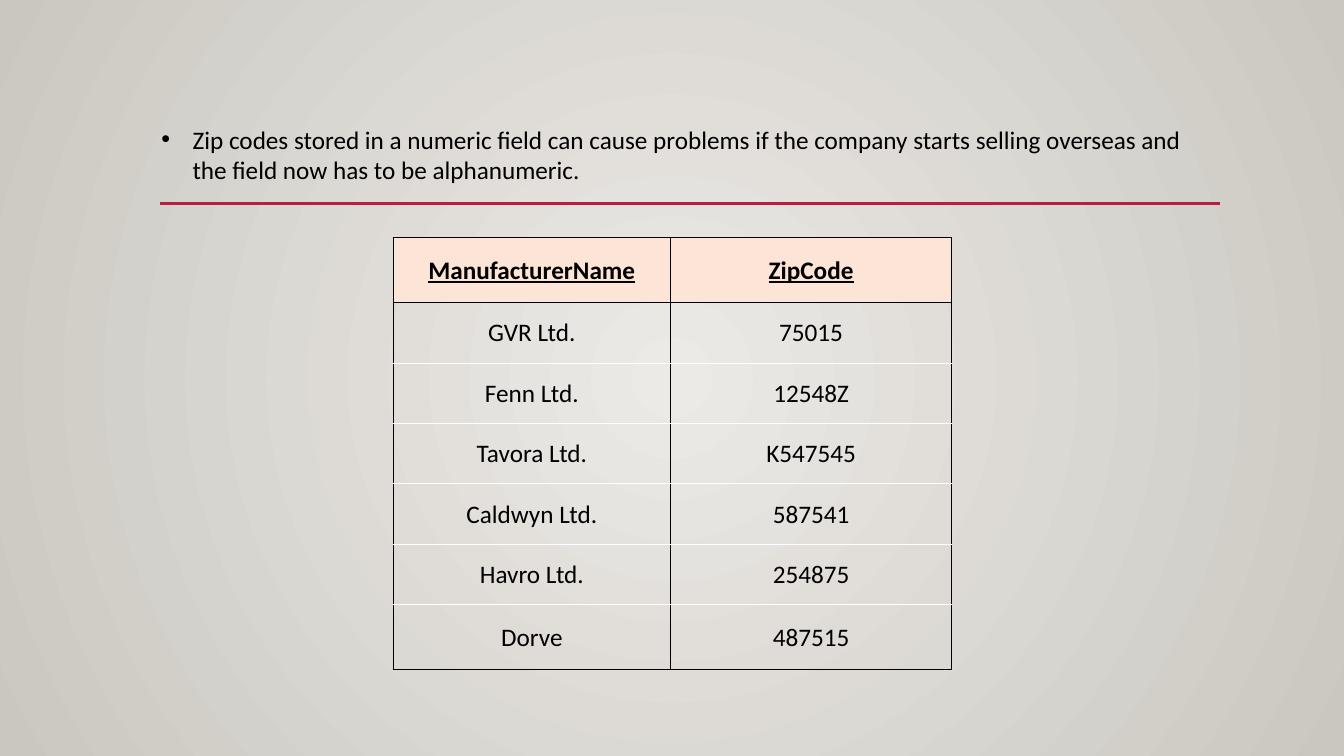
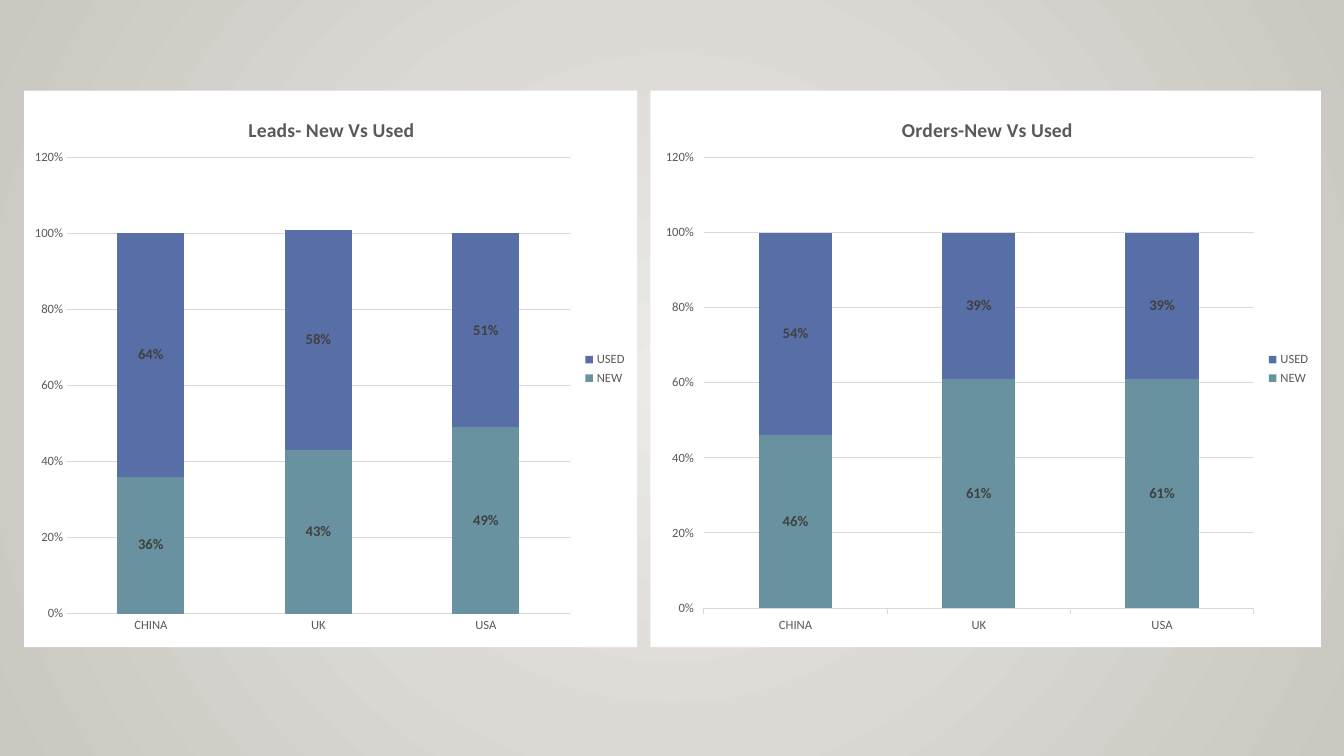
"""Build two slides: a zip code table and a pair of stacked column charts."""
from dataclasses import dataclass

from lxml import etree
from pptx import Presentation
from pptx.chart.data import CategoryChartData
from pptx.dml.color import RGBColor
from pptx.enum.chart import XL_CHART_TYPE, XL_LABEL_POSITION, XL_LEGEND_POSITION, XL_TICK_MARK
from pptx.enum.shapes import MSO_CONNECTOR
from pptx.enum.text import MSO_ANCHOR, MSO_AUTO_SIZE, PP_ALIGN
from pptx.oxml import parse_xml
from pptx.oxml.ns import nsdecls, qn
from pptx.util import Inches, Pt

STACKED = XL_CHART_TYPE.COLUMN_STACKED
LABEL_CENTER = XL_LABEL_POSITION.CENTER
LEGEND_RIGHT = XL_LEGEND_POSITION.RIGHT
TICK_OUT, TICK_NONE = XL_TICK_MARK.OUTSIDE, XL_TICK_MARK.NONE
STRAIGHT = MSO_CONNECTOR.STRAIGHT
MIDDLE, TOP = MSO_ANCHOR.MIDDLE, MSO_ANCHOR.TOP
NO_FIT = MSO_AUTO_SIZE.NONE
CENTER, LEFT = PP_ALIGN.CENTER, PP_ALIGN.LEFT

FONT = "Calibri"
COLORS = {
    "bg_center": "ECEAE7", "bg_edge": "CAC7C1", "accent": "B71E42",
    "black": "000000", "white": "FFFFFF", "header": "FCE4D6",
    "grid": "D9D9D9", "muted": "595959", "label": "404040",
    "NEW": "6892A0", "USED": "586EA6",
}
CATEGORIES = ("CHINA", "UK", "USA")
ROWS = (
    ("ManufacturerName", "ZipCode"),
    ("GVR Ltd.", "75015"),
    ("Fenn Ltd.", "12548Z"),
    ("Tavora Ltd.", "K547545"),
    ("Caldwyn Ltd.", "587541"),
    ("Havro Ltd.", "254875"),
    ("Dorve", "487515"),
)


@dataclass
class ChartSpec:
    title: str
    left: float
    width: float
    tick: XL_TICK_MARK
    series: dict
    title_at: tuple
    plot_at: tuple


CHARTS = (
    ChartSpec("Orders-New Vs Used", 6.45, 6.65, TICK_OUT,
              {"NEW": (0.46, 0.61, 0.61), "USED": (0.54, 0.39, 0.39)},
              (0.37, 0.04), (0.08, 0.12, 0.82, 0.81)),
    ChartSpec("Leads- New Vs Used", 0.24, 6.08, TICK_NONE,
              {"NEW": (0.36, 0.43, 0.49), "USED": (0.64, 0.58, 0.51)},
              (0.36, 0.04), (0.07, 0.12, 0.82, 0.82)),
)


def rgb(name: str) -> RGBColor:
    return RGBColor.from_string(COLORS[name])


def set_font(font, size: float, color: str = "black", bold: bool = False,
             underline: bool = False) -> None:
    font.name, font.size = FONT, Pt(size)
    font.bold, font.underline = bold, underline
    font.color.rgb = rgb(color)


def write(tf, text: str, *, size: float = 18, color: str = "black", bold: bool = False,
          underline: bool = False, align: PP_ALIGN = LEFT, bullet: float = 0) -> None:
    p = tf.paragraphs[0]
    p.alignment = align
    if bullet:
        p.space_before = Pt(0)
        pPr = p._p.get_or_add_pPr()
        pPr.set("marL", str(Inches(bullet)))
        pPr.set("indent", str(-Inches(bullet)))
        etree.SubElement(pPr, qn("a:buFont")).set("typeface", "Arial")
        etree.SubElement(pPr, qn("a:buChar")).set("char", "•")
    r = p.add_run()
    r.text = text
    set_font(r.font, size, color, bold, underline)


def set_background(master) -> None:
    cSld = master.element.find(qn("p:cSld"))
    for bg in cSld.findall(qn("p:bg")):
        cSld.remove(bg)
    cSld.insert(0, parse_xml(
        f'<p:bg {nsdecls("p", "a")}><p:bgPr><a:gradFill rotWithShape="1"><a:gsLst>'
        f'<a:gs pos="0"><a:srgbClr val="{COLORS["bg_center"]}"/></a:gs>'
        f'<a:gs pos="100000"><a:srgbClr val="{COLORS["bg_edge"]}"/></a:gs></a:gsLst>'
        '<a:path path="circle"><a:fillToRect l="50000" t="50000" r="50000" b="50000"/></a:path>'
        '</a:gradFill><a:effectLst/></p:bgPr></p:bg>'))


def set_borders(cell, top: str, bottom: str) -> None:
    tcPr = cell._tc.get_or_add_tcPr()
    sides = {"lnL": "black", "lnR": "black", "lnT": top, "lnB": bottom}
    for i, (side, color) in enumerate(sides.items()):
        width = Pt(1) if color == "black" else Pt(0.5)
        tcPr.insert(i, parse_xml(
            f'<a:{side} {nsdecls("a")} w="{width}"><a:solidFill>'
            f'<a:srgbClr val="{COLORS[color]}"/></a:solidFill></a:{side}>'))


def add_rule(slide) -> None:
    line = slide.shapes.add_connector(STRAIGHT, Inches(1.59), Inches(2.02),
                                      Inches(12.1), Inches(2.02))
    line.line.color.rgb = rgb("accent")
    line.line.width = Pt(2.5)
    etree.SubElement(line._element.spPr, qn("a:effectLst"))


def add_zip_table(slide) -> None:
    last = len(ROWS) - 1
    table = slide.shapes.add_table(len(ROWS), 2, Inches(3.9), Inches(2.36),
                                   Inches(5.54), Inches(4.26)).table
    table.first_row = table.horz_banding = False
    for col, width in zip(table.columns, (2.75, 2.79)):
        col.width = Inches(width)
    for i, row in enumerate(ROWS):
        header = i == 0
        table.rows[i].height = Inches(0.64 if i in (0, last) else 0.6)
        for j, text in enumerate(row):
            cell = table.cell(i, j)
            cell.vertical_anchor = MIDDLE
            cell.margin_left = cell.margin_right = cell.margin_top = Inches(0.01)
            cell.margin_bottom = 0
            if header:
                cell.fill.solid()
                cell.fill.fore_color.rgb = rgb("header")
            else:
                cell.fill.background()
            set_borders(cell, "black" if i <= 1 else "white",
                        "black" if i in (0, last) else "white")
            write(cell.text_frame, text, bold=header, underline=header, align=CENTER)


def set_layout(parent, index: int, place: tuple) -> None:
    for old in parent.findall(qn("c:layout")):
        parent.remove(old)
    target = '<c:layoutTarget val="inner"/>' if len(place) == 4 else ""
    modes = '<c:xMode val="edge"/><c:yMode val="edge"/>'
    sizes = "".join(f'<c:{k} val="{v}"/>' for k, v in zip("xywh", place))
    parent.insert(index, parse_xml(
        f'<c:layout {nsdecls("c")}><c:manualLayout>{target}{modes}{sizes}'
        '</c:manualLayout></c:layout>'))


def add_share_chart(slide, spec: ChartSpec) -> None:
    data = CategoryChartData(number_format="0%")
    data.categories = CATEGORIES
    for name, values in spec.series.items():
        data.add_series(name, values)
    chart = slide.shapes.add_chart(STACKED, Inches(spec.left), Inches(0.9),
                                   Inches(spec.width), Inches(5.52), data).chart
    set_font(chart.font, 10)
    chart.element.find(qn("c:chart")).addnext(parse_xml(
        f'<c:spPr {nsdecls("c", "a")}><a:solidFill><a:srgbClr val="{COLORS["white"]}"/>'
        '</a:solidFill><a:ln><a:noFill/></a:ln></c:spPr>'))

    chart.has_title = True
    write(chart.chart_title.text_frame, spec.title, size=14, color="muted", bold=True,
          align=CENTER)
    chart.chart_title.include_in_layout = False
    set_layout(chart.chart_title._element, 1, spec.title_at)
    set_layout(chart.element.find(qn("c:chart")).find(qn("c:plotArea")), 0, spec.plot_at)

    chart.has_legend = True
    chart.legend.position = LEGEND_RIGHT
    chart.legend.include_in_layout = False
    set_font(chart.legend.font, 9, "muted")

    cat, val = chart.category_axis, chart.value_axis
    for axis in (cat, val):
        axis.major_tick_mark, axis.minor_tick_mark = spec.tick, TICK_NONE
        set_font(axis.tick_labels.font, 9, "muted")
    val.minimum_scale, val.maximum_scale, val.major_unit = 0, 1.2, 0.2
    val.tick_labels.number_format = "0%"
    val.tick_labels.number_format_is_linked = False
    val.format.line.fill.background()
    val.has_major_gridlines = True
    for line in (cat.format.line, val.major_gridlines.format.line):
        line.color.rgb = rgb("grid")
        line.width = Pt(0.75)

    plot = chart.plots[0]
    plot.gap_width, plot.overlap, plot.vary_by_categories = 150, 100, False
    for series in plot.series:
        series.format.fill.solid()
        series.format.fill.fore_color.rgb = rgb(series.name)
        labels = series.data_labels
        labels.show_value = True
        labels.position = LABEL_CENTER
        labels.number_format, labels.number_format_is_linked = "0%", False
        set_font(labels.font, 10.5, "label", bold=True)


def build_zip_slide(prs) -> None:
    slide = prs.slides.add_slide(prs.slide_layouts[1])
    title = slide.shapes.title._element
    title.getparent().remove(title)
    add_rule(slide)
    add_zip_table(slide)
    sp = slide.placeholders[1]
    sp.left, sp.top, sp.width, sp.height = (Inches(v) for v in (1.5, 1.18, 10.6, 1.01))
    tf = sp.text_frame
    tf.auto_size, tf.vertical_anchor, tf.word_wrap = NO_FIT, TOP, True
    write(tf, "Zip codes stored in a numeric field can cause problems if the company starts "
          "selling overseas and the field now has to be alphanumeric.", bullet=0.31)


def build_chart_slide(prs) -> None:
    slide = prs.slides.add_slide(prs.slide_layouts[6])
    for spec in CHARTS:
        add_share_chart(slide, spec)


def main() -> None:
    prs = Presentation()
    prs.slide_width, prs.slide_height = Inches(13.33), Inches(7.5)
    set_background(prs.slide_master)
    build_zip_slide(prs)
    build_chart_slide(prs)
    prs.save("out.pptx")


if __name__ == "__main__":
    main()
